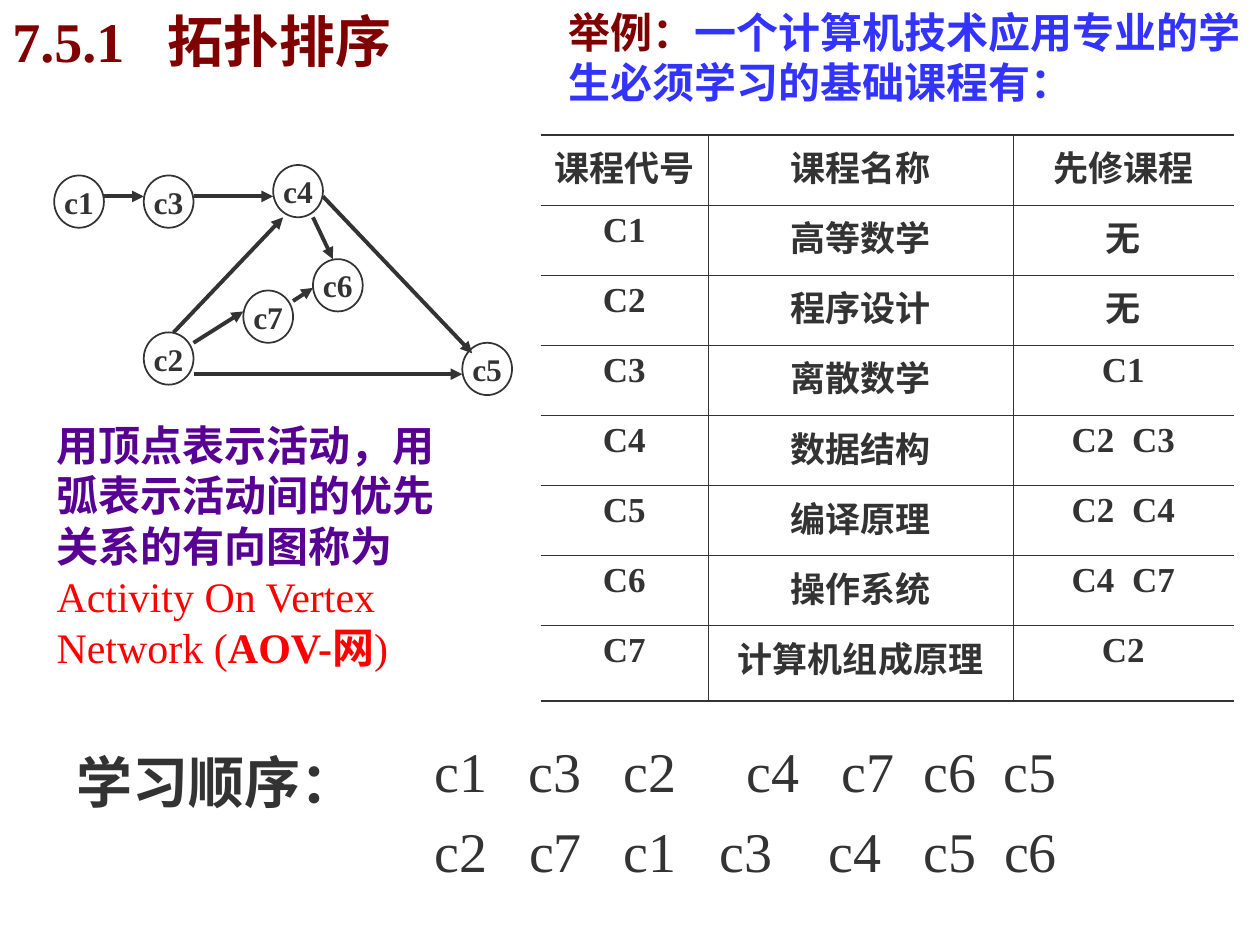
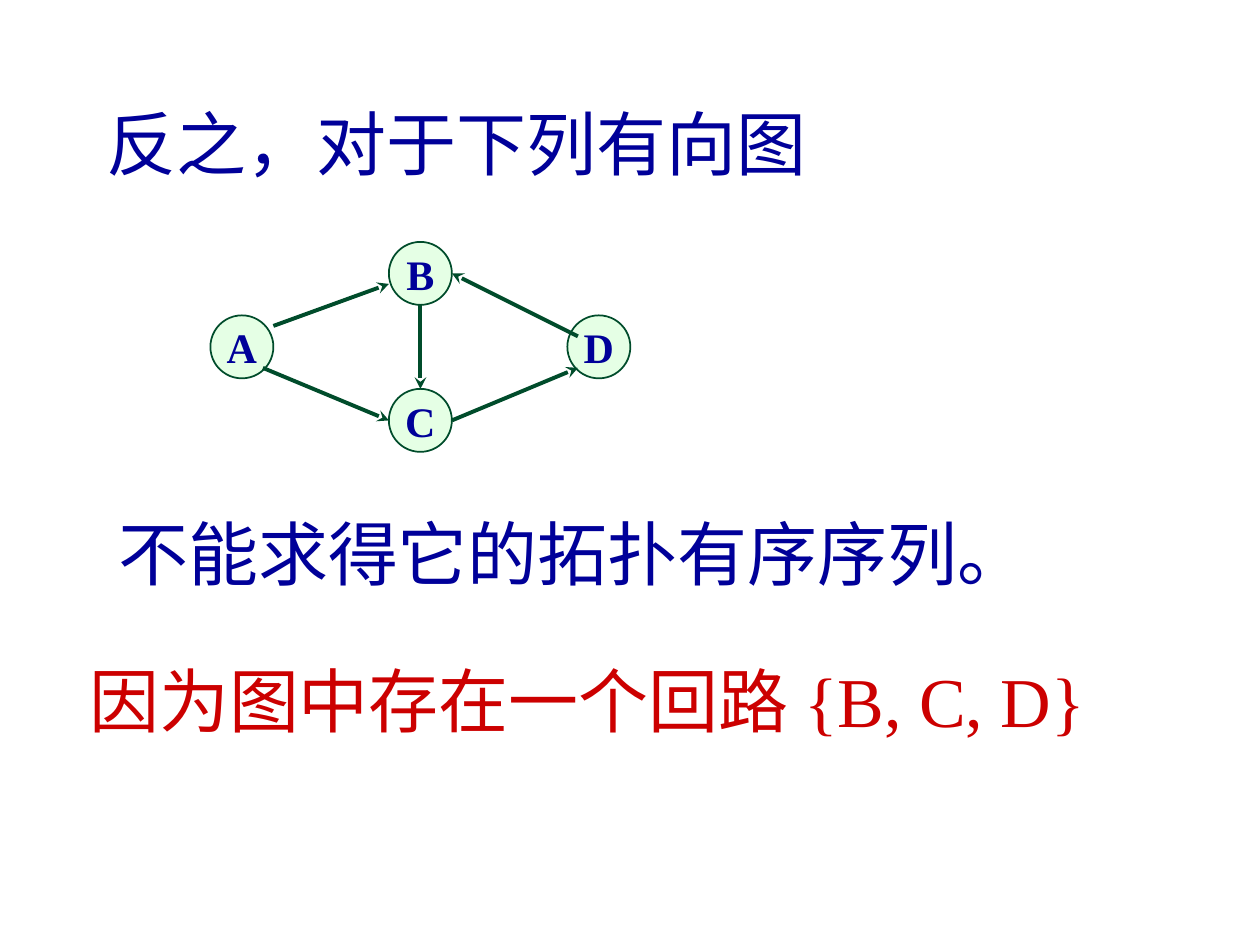
from lxml import etree
from pptx import Presentation
from pptx import util as u
from pptx.dml.color import RGBColor
from pptx.enum import shapes, text
from pptx.oxml.ns import qn

INK = RGBColor(0x33, 0x33, 0x33)
WHITE = RGBColor(0xFF, 0xFF, 0xFF)
MAROON = RGBColor(0x80, 0x00, 0x00)
BLUE = RGBColor(0x33, 0x33, 0xFF)
PURPLE = RGBColor(0x58, 0x00, 0x94)
RED = RGBColor(0xFF, 0x00, 0x00)
NAVY = RGBColor(0x00, 0x00, 0x99)
CRIMSON = RGBColor(0xCC, 0x00, 0x00)
GREEN = RGBColor(0x00, 0x4C, 0x2B)
MINT = RGBColor(0xCC, 0xFF, 0xCC)
FONT = "Times New Roman"
CENTER = text.PP_ALIGN.CENTER

deck = Presentation()
deck.slide_width, deck.slide_height = u.Inches(10), u.Inches(7.5)
# Layout grid: 100 columns by 75 rows
COL, ROW = deck.slide_width / 100, deck.slide_height / 75


def write(frame, *spans, size, color=INK, bold=False, align=None, before=0, tabs=()):
    """Fill one paragraph; a span is a string or (string, overrides)."""
    para = frame.paragraphs[0]
    para.alignment = align
    para.space_before = u.Pt(before)
    if tabs:
        stops = etree.SubElement(para._p.get_or_add_pPr(), qn("a:tabLst"))
        for stop in tabs:
            etree.SubElement(stops, qn("a:tab"), pos=str(int(stop * COL)), algn="l")
    for item in spans:
        words, look = (item, {}) if isinstance(item, str) else item
        span = para.add_run()
        span.text = words
        span.font.name = FONT
        span.font.size = u.Pt(size)
        span.font.bold = look.get("bold", bold)
        span.font.color.rgb = look.get("color", color)
        if "spacing" in look:
            span.font._element.set("spc", str(look["spacing"] * 100))


def draw_graph(page, nodes, arrows, origin, step, node_size, fill, line, ink, size, head, opacity=100):
    """Draw circles and arrows placed in steps of the graph's own grid."""
    def place(x, y):
        return int(origin[0] * COL + x * step[0]), int(origin[1] * ROW + y * step[1])

    width, height = (int(node_size * side) for side in step)
    for label, spot in nodes.items():
        node = page.shapes.add_shape(shapes.MSO_SHAPE.OVAL, *place(*spot), width, height)
        node.shadow.inherit = False
        node.fill.solid()
        node.fill.fore_color.rgb = fill
        if opacity < 100:
            tint = node._element.spPr.find(qn("a:solidFill"))[0]
            etree.SubElement(tint, qn("a:alpha"), val=str(opacity * 1000))
        node.line.color.rgb = line
        node.line.width = u.Pt(1)
        node.text_frame.word_wrap = False
        node.text_frame.vertical_anchor = text.MSO_ANCHOR.MIDDLE
        write(node.text_frame, label, size=size, color=ink, bold=True, align=CENTER)
    for start, end in arrows:
        arrow = page.shapes.add_connector(
            shapes.MSO_CONNECTOR.STRAIGHT, *place(*start), *place(*end))
        arrow.line.color.rgb = line
        arrow.line.width = u.Pt(2.25)
        etree.SubElement(arrow.line._get_or_add_ln(), qn("a:tailEnd"), type=head)
        etree.SubElement(arrow._element.spPr, qn("a:effectLst"))


blank = deck.slide_layouts[6]
course_page, cycle_page = (deck.slides.add_slide(blank) for _ in range(2))

# Course table
courses = [
    ("课程代号", "课程名称", "先修课程"),
    ("C1", "高等数学", "无"),
    ("C2", "程序设计", "无"),
    ("C3", "离散数学", "C1"),
    ("C4", "数据结构", "C2 C3"),
    ("C5", "编译原理", "C2 C4"),
    ("C6", "操作系统", "C4 C7"),
    ("C7", "计算机组成原理", "C2"),
]
last_row, last_col = len(courses) - 1, len(courses[0]) - 1
table = course_page.shapes.add_table(
    len(courses), len(courses[0]), int(42.9 * COL), int(10.7 * ROW),
    int(55 * COL), int(45.2 * ROW)).table
table.first_row = table.horz_banding = False
for column, width in zip(table.columns, (13.3, 24.2, 17.5)):
    column.width = int(width * COL)
for r, course in enumerate(courses):
    table.rows[r].height = int((6 if r == last_row else 5.56) * ROW)
    for c, entry in enumerate(course):
        cell = table.cell(r, c)
        # A widened space parts two prerequisites
        first, gap, second = entry.partition(" ")
        spans = [first, (gap, {"spacing": 5}), second] if gap else [first]
        write(cell.text_frame, *spans, size=20, bold=True, align=CENTER, before=5)
        borders = {
            "lnL": 0.45 if c > 0 else 0,
            "lnR": 0.45 if c < last_col else 0,
            "lnT": 1.08 if r == 0 else 0.45,
            "lnB": 1.08 if r == last_row else 0.45,
        }
        for side, weight in borders.items():
            edge = etree.SubElement(cell._tc.get_or_add_tcPr(), qn("a:" + side),
                                    w=str(int(u.Pt(weight))))
            if weight:
                paint = etree.SubElement(edge, qn("a:solidFill"))
                etree.SubElement(paint, qn("a:srgbClr"), val=str(INK))
            else:
                etree.SubElement(edge, qn("a:noFill"))
        cell.fill.background()

# Graph of course prerequisites
draw_graph(
    course_page,
    {"c1": (0, 1), "c3": (9, 1), "c4": (22, 0), "c2": (9, 16),
     "c7": (19, 12), "c6": (26, 9), "c5": (41, 17)},
    [((5, 3), (9, 3)), ((14, 3), (22, 3)), ((12, 16), (23, 5)), ((14, 17), (19, 14)),
     ((24, 13), (26, 11.75)), ((14, 20), (41, 20)), ((26, 5), (28, 9)), ((27, 3), (42, 18))],
    origin=(4.3, 13.1), step=(COL * 0.79, ROW * 0.83), node_size=5,
    fill=WHITE, line=INK, ink=INK, size=18, head="triangle")

# Graph with a cycle
draw_graph(
    cycle_page,
    {"B": (17, 0), "D": (34, 7), "A": (0, 7), "C": (17, 14)},
    [((6, 8), (17, 4)), ((5, 12), (17, 17)), ((23, 17), (35, 12)),
     ((35, 9), (23, 3)), ((20, 6), (20, 14))],
    origin=(16.7, 19.2), step=(COL / 1.2, ROW / 1.2), node_size=6,
    fill=MINT, line=GREEN, ink=NAVY, size=24, head="stealth", opacity=50)

# Text boxes: page, (column, row, width, height), wrap, spans, format
heading = dict(size=32, color=MAROON, bold=True)
order = dict(size=32, before=20)
statement = dict(size=40, color=NAVY)
boxes = [
    (course_page, (33.5, 58, 60, 6.4), True, ["c1\tc3\tc2\tc4\tc7\tc6\tc5"],
     dict(order, tabs=(7.5, 15, 24.8, 32.3, 38.8, 45.2))),
    (course_page, (33.5, 64.3, 55.8, 6.4), True, ["c2\tc7\tc1\tc3\tc4\tc5\tc6"],
     dict(order, tabs=(7.5, 15, 22.6, 31.3, 38.8, 45.2))),
    (course_page, (3.5, 32.8, 33.1, 21), True,
     [("用顶点表示活动，用弧表示活动间的优先关系的有向图称为", dict(color=PURPLE, bold=True)),
      "Activity On Vertex Network (", ("AOV-网", dict(bold=True)), ")"],
     dict(size=24, color=RED, before=15)),
    (course_page, (5.1, 58.8, 26.8, 6.4), True, ["学习顺序："], dict(order, bold=True)),
    (course_page, (44.1, 0, 55.9, 9), True,
     [("举例：", dict(color=MAROON)), "一个计算机技术应用专业的学生必须学习的基础课程有："],
     dict(size=24, color=BLUE, bold=True, before=15)),
    (course_page, (0, 0, 33.9, 6.4), True, ["7.5.1\t拓扑排序"], dict(heading, tabs=(12.3,))),
    (cycle_page, (7.5, 7.5, 57.5, 7.7), False, ["反之，对于下列有向图"], statement),
    (cycle_page, (8.4, 40, 74.1, 7.7), False, ["不能求得它的拓扑有序序列。"], statement),
    (cycle_page, (6.1, 51.7, 82.3, 7.7), False, ["因为图中存在一个回路 {B, C, D}"],
     dict(statement, color=CRIMSON)),
]
for page, (x, y, width, height), wrap, spans, look in boxes:
    box = page.shapes.add_textbox(int(x * COL), int(y * ROW), int(width * COL), int(height * ROW))
    box.text_frame.word_wrap = wrap
    box.text_frame.auto_size = text.MSO_AUTO_SIZE.SHAPE_TO_FIT_TEXT
    write(box.text_frame, *spans, **look)

deck.save("out.pptx")
